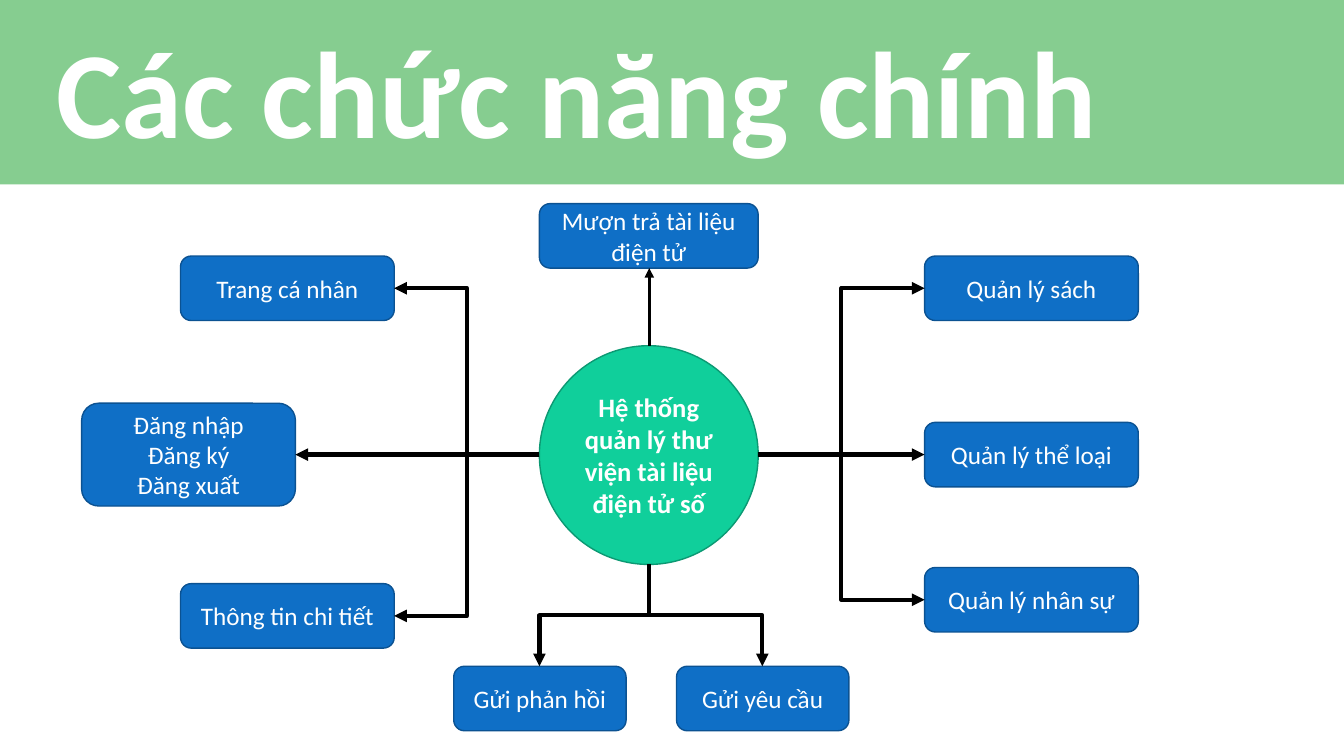
from dataclasses import dataclass

from lxml import etree
from pptx import Presentation
from pptx.dml.color import RGBColor
from pptx.enum.shapes import MSO_CONNECTOR, MSO_SHAPE
from pptx.enum.text import MSO_ANCHOR, PP_ALIGN
from pptx.oxml.ns import qn
from pptx.util import Emu, Pt

RECT, ROUNDED, OVAL = MSO_SHAPE.RECTANGLE, MSO_SHAPE.ROUNDED_RECTANGLE, MSO_SHAPE.OVAL
STRAIGHT, ELBOW = MSO_CONNECTOR.STRAIGHT, MSO_CONNECTOR.ELBOW
MIDDLE, LEFT, CENTER = MSO_ANCHOR.MIDDLE, PP_ALIGN.LEFT, PP_ALIGN.CENTER
EMU_PER_PX = 9144


@dataclass(frozen=True)
class Theme:
    font: str = "Calibri"
    band: str = "86CD90"
    hub: str = "10CF9B"
    hub_edge: str = "0C9973"
    node: str = "0F6FC6"
    node_edge: str = "0B5292"
    text: str = "FFFFFF"
    arrow: str = "000000"
    title_size: int = 88
    hub_size: int = 19
    node_size: int = 18
    edge_width: int = 1
    arrow_width: int = 3
    thin_arrow_width: float = 2.25


def px(*lengths):
    return [Emu(round(length * EMU_PER_PX)) for length in lengths]


class FunctionMap:
    def __init__(self, slide, theme):
        self.shapes = slide.shapes
        self.theme = theme

    def label(self, shape, text, size, bold=False, align=CENTER, spacing=None):
        frame = shape.text_frame
        frame.word_wrap = True
        frame.vertical_anchor = MIDDLE
        frame.text = text
        for paragraph in frame.paragraphs:
            paragraph.alignment = align
            paragraph.line_spacing = spacing
            for run in paragraph.runs:
                run.font.name = self.theme.font
                run.font.size = Pt(size)
                run.font.bold = bold
                run.font.color.rgb = RGBColor.from_string(self.theme.text)

    def block(self, kind, box, fill, edge=None):
        shape = self.shapes.add_shape(kind, *px(*box))
        shape.shadow.inherit = False
        shape.fill.solid()
        shape.fill.fore_color.rgb = RGBColor.from_string(fill)
        if edge:
            shape.line.color.rgb = RGBColor.from_string(edge)
            shape.line.width = Pt(self.theme.edge_width)
        else:
            shape.line.fill.background()
        return shape

    def title(self, text, band, box):
        self.block(RECT, band, self.theme.band)
        heading = self.shapes.add_textbox(*px(*box))
        self.label(heading, text, self.theme.title_size, True, LEFT, 0.9)

    def hub(self, text, box):
        circle = self.block(OVAL, box, self.theme.hub, self.theme.hub_edge)
        self.label(circle, text, self.theme.hub_size, bold=True)

    def node(self, text, box):
        card = self.block(ROUNDED, box, self.theme.node, self.theme.node_edge)
        self.label(card, text, self.theme.node_size)

    def arrow(self, start, end, width=None):
        """Straight when the ends line up, else an elbow that leaves sideways."""
        aligned = start[0] == end[0] or start[1] == end[1]
        kind = STRAIGHT if aligned else ELBOW
        arrow = self.shapes.add_connector(kind, *px(*start, *end))
        arrow.line.color.rgb = RGBColor.from_string(self.theme.arrow)
        arrow.line.width = Pt(width or self.theme.arrow_width)
        properties = arrow._element.spPr
        head = etree.SubElement(properties.find(qn("a:ln")), qn("a:tailEnd"))
        head.set("type", "triangle")
        etree.SubElement(properties, qn("a:effectLst"))
        return arrow

    def drop_arrow(self, start, end):
        """An elbow that leaves downwards: a sideways one turned about its centre."""
        mid_x, mid_y = (start[0] + end[0]) / 2, (start[1] + end[1]) / 2
        half_drop, half_spread = (end[1] - start[1]) / 2, abs(end[0] - start[0]) / 2
        side, angle = (1, 90) if end[0] < start[0] else (-1, 270)
        arrow = self.arrow((mid_x - side * half_drop, mid_y - half_spread),
                           (mid_x + side * half_drop, mid_y + half_spread))
        arrow._element.spPr.find(qn("a:xfrm")).set("rot", str(angle * 60000))


def main():
    deck = Presentation()
    deck.slide_width, deck.slide_height = px(1333, 750)
    theme = Theme()
    page = FunctionMap(deck.slides.add_slide(deck.slide_layouts[6]), theme)

    page.title("Các chức năng chính", (0, 0, 1333, 183), (46, 18, 1196, 160))

    hub_left, hub_top, hub_size = 535, 343, 217
    hub_right, hub_bottom = hub_left + hub_size, hub_top + hub_size
    hub_x, hub_y = 644, 451
    page.hub("Hệ thống quản lý thư viện tài liệu điện tử số",
             (hub_left, hub_top, hub_size, hub_size))

    side_width, height = 212, 64
    for text, left, mid_y, node_height in (
        ("Đăng nhập\nĐăng ký\nĐăng xuất", 81, hub_y, 102),
        ("Trang cá nhân", 179, 286, height),
        ("Thông tin chi tiết", 179, 611, height),
        ("Quản lý sách", 917, 286, height),
        ("Quản lý thể loại", 917, hub_y, height),
        ("Quản lý nhân sự", 917, 595, height),
    ):
        page.node(text, (left, mid_y - node_height // 2, side_width, node_height))
        if left < hub_left:
            page.arrow((hub_left, hub_y), (left + side_width, mid_y))
        else:
            page.arrow((hub_right, hub_y), (left, mid_y))

    loan_top = 202
    page.node("Mượn trả tài liệu điện tử", (hub_left, loan_top, hub_size, height))
    page.arrow((hub_x, hub_top), (hub_x, loan_top + height), theme.thin_arrow_width)

    request_top, request_width = 661, 171
    for text, left in (("Gửi phản hồi", 450), ("Gửi yêu cầu", 671)):
        page.node(text, (left, request_top, request_width, height))
        page.drop_arrow((hub_x, hub_bottom), (left + request_width // 2, request_top))

    deck.save("out.pptx")


if __name__ == "__main__":
    main()
